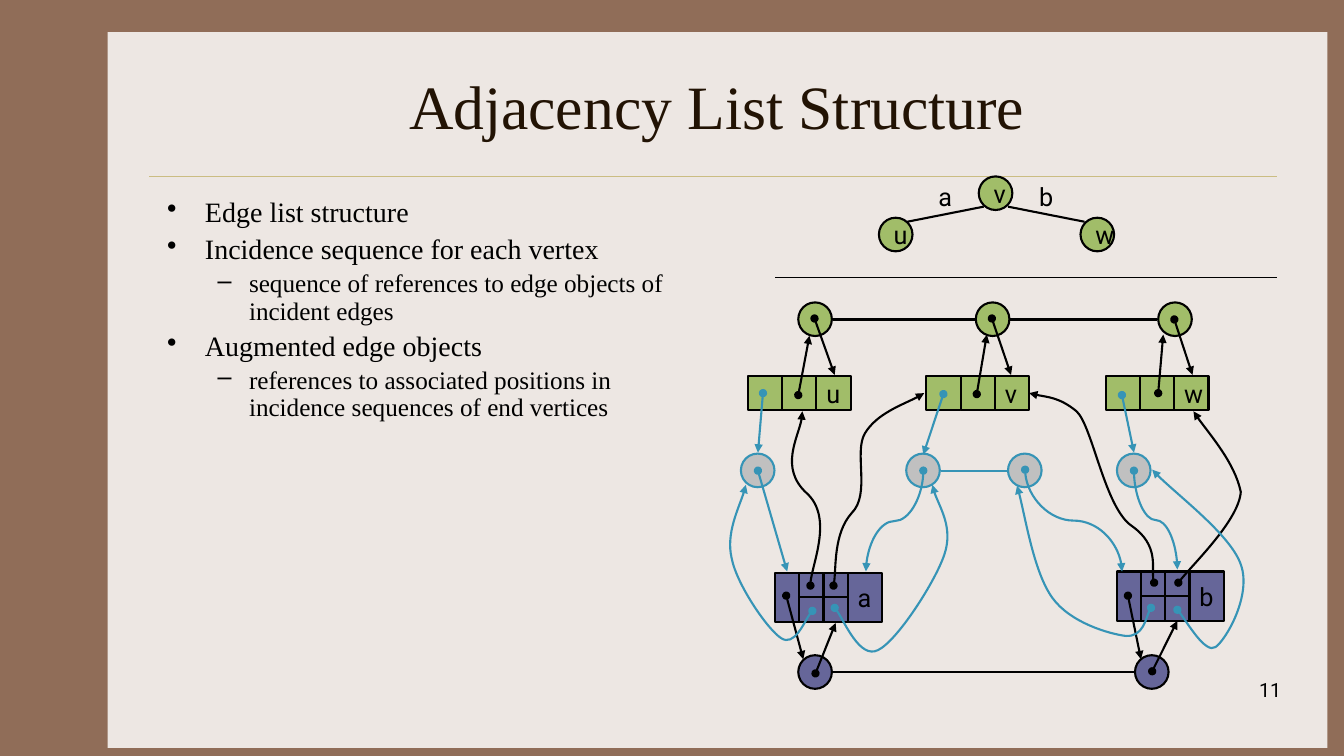
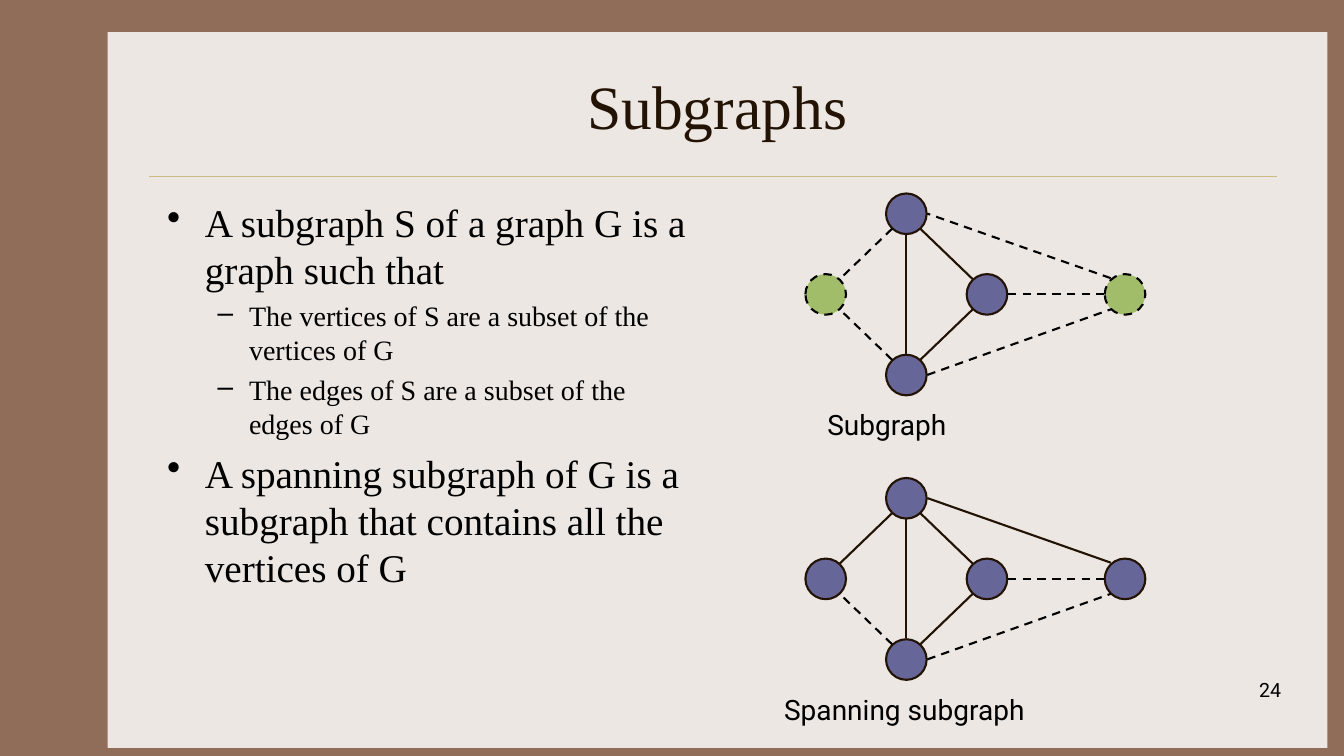
from dataclasses import dataclass
from typing import Optional

from pptx import Presentation
from pptx.dml.color import RGBColor
from pptx.enum.dml import MSO_LINE
from pptx.enum.shapes import MSO_CONNECTOR as CONN, MSO_SHAPE as SHAPE
from pptx.enum.text import MSO_ANCHOR as ANCHOR, MSO_AUTO_SIZE as AUTOSIZE, PP_ALIGN as ALIGN
from pptx.oxml.ns import qn
from pptx.oxml.xmlchemy import OxmlElement
from pptx.util import Pt

BROWN, PAPER, GOLD, DARK = "906D58", "EDE7E3", "CBBD83", "221304"
BLACK, GREEN, PURPLE, GREY, BLUE = "000000", "A1BD69", "666699", "C0C0C0", "3694B6"
SERIF, SANS = "Times New Roman", "Roboto"
NODE, CELL = 24, 24.5
SLOT, EDGE_H = 17.3, 35.3

Point = tuple[float, float]


@dataclass(frozen=True)
class Bullet:
    text: str
    size: float
    level: int = 0


@dataclass(frozen=True)
class Link:
    start: Point
    end: Point
    color: str = BLACK
    arrow: bool = False
    curved: bool = False


@dataclass(frozen=True)
class Curve:
    color: str
    points: list[Point]


@dataclass(frozen=True)
class Vertex:
    name: str
    graph: Point
    node_x: float
    record_x: float


@dataclass(frozen=True)
class EdgeRecord:
    name: str
    left: float
    top: float
    node_x: float


@dataclass(frozen=True)
class Subgraph:
    caption: str
    caption_box: tuple[float, float, float, float]
    dy: float
    outer: str
    dashed: set[str]


def rgb(color: str) -> RGBColor:
    return RGBColor.from_string(color)


def write(p, text: str, size: float, color: str = BLACK, font: str = SANS) -> None:
    r = p.add_run()
    r.text = text
    r.font.size, r.font.name = Pt(size), font
    r.font.color.rgb = rgb(color)


def stroke(line, color: str, width: float = 1.5, dashed: bool = False) -> None:
    line.color.rgb = rgb(color)
    line.width = Pt(width)
    if dashed:
        line.dash_style = MSO_LINE.DASH


def add_ends(line) -> None:
    ln = line._get_or_add_ln()
    for tag, kind in (("a:headEnd", "oval"), ("a:tailEnd", "triangle")):
        end = OxmlElement(tag)
        end.set("type", kind)
        ln.append(end)


def add_box(s, kind, x: float, y: float, w: float, h: float, fill: str,
            color: Optional[str] = BLACK, text: str = "", dashed: bool = False):
    sp = s.shapes.add_shape(kind, Pt(x), Pt(y), Pt(w), Pt(h))
    sp.shadow.inherit = False
    sp.fill.solid()
    sp.fill.fore_color.rgb = rgb(fill)
    if color:
        stroke(sp.line, color, dashed=dashed)
    else:
        sp.line.fill.background()
    if text:
        tf = sp.text_frame
        tf.word_wrap, tf.vertical_anchor = False, ANCHOR.MIDDLE
        tf.paragraphs[0].alignment = ALIGN.LEFT
        write(tf.paragraphs[0], text, 18)
    return sp


def add_text(s, text: str, x: float, y: float, w: float, h: float, size: float,
             wrap: bool = True, align=ALIGN.LEFT) -> None:
    tf = s.shapes.add_textbox(Pt(x), Pt(y), Pt(w), Pt(h)).text_frame
    tf.word_wrap = wrap
    tf.paragraphs[0].alignment = align
    write(tf.paragraphs[0], text, size)


def add_line(s, start: Point, end: Point, color: str = BLACK, width: float = 1.5,
             dashed: bool = False, kind=CONN.STRAIGHT):
    sp = s.shapes.add_connector(kind, *map(Pt, start + end))
    sp._element.spPr.append(OxmlElement("a:effectLst"))
    stroke(sp.line, color, width, dashed)
    return sp


def add_link(s, link: Link) -> None:
    if link.curved:
        (x0, y0), (x1, y1) = link.start, link.end
        cx, cy = (x0 + x1) / 2, (y0 + y1) / 2
        half_w = (y1 - y0) / 2 * (1 if x1 < x0 else -1)
        half_h = abs(x1 - x0) / 2
        sp = add_line(s, (cx - half_w, cy - half_h), (cx + half_w, cy + half_h),
                      link.color, kind=CONN.CURVE)
        sp._element.spPr.find(qn("a:xfrm")).set("rot", "5400000" if x1 < x0 else "16200000")
    else:
        sp = add_line(s, link.start, link.end, link.color)
    if link.arrow:
        add_ends(sp.line)


def add_curve(s, curve: Curve) -> None:
    pts = [(Pt(x), Pt(y)) for x, y in curve.points]
    builder = s.shapes.build_freeform(*pts[0])
    builder.add_line_segments(pts[1:], close=False)
    sp = builder.convert_to_shape()
    sp.shadow.inherit = False
    sp.fill.background()
    outline = next(sp._element.iter(qn("a:path")))
    segments = outline.findall(qn("a:lnTo"))
    for i in range(0, len(segments), 3):
        bezier = OxmlElement("a:cubicBezTo")
        for seg in segments[i:i + 3]:
            bezier.append(seg[0])
            outline.remove(seg)
        outline.append(bezier)
    stroke(sp.line, curve.color)
    add_ends(sp.line)


def decorate_master(prs, s) -> None:
    master = prs.slide_master
    master.background.fill.solid()
    master.background.fill.fore_color.rgb = rgb(BROWN)
    panel = add_box(s, SHAPE.RECTANGLE, 77, 23, 871.2, 511.2, PAPER, None)
    rule = add_line(s, (106.6, 126), (912.2, 126), GOLD, 0.25)
    for i, sp in enumerate((panel, rule)):
        sp.element.xpath(".//p:cNvPr")[0].set("id", str(100 + i))
        master.shapes.element.insert(2 + i, sp.element)


def new_slide(prs, title: str, number: str, bullets: list[Bullet], spacing: float = 1.0):
    s = prs.slides.add_slide(prs.slide_layouts[5])
    sp = s.shapes.title
    sp.left, sp.top, sp.width, sp.height = Pt(112.3), Pt(30.2), Pt(800), Pt(90)
    tf = sp.text_frame
    tf.auto_size, tf.word_wrap, tf.vertical_anchor = AUTOSIZE.NONE, True, ANCHOR.MIDDLE
    tf.paragraphs[0].alignment = ALIGN.CENTER
    write(tf.paragraphs[0], title, 44, DARK, SERIF)

    tf = s.shapes.add_textbox(Pt(112.3), Pt(138.2), Pt(391.7), Pt(324)).text_frame
    tf.word_wrap = True
    for i, bullet in enumerate(bullets):
        p = tf.add_paragraph() if i else tf.paragraphs[0]
        p.level = bullet.level
        p.line_spacing, p.space_before = spacing, Pt(round(bullet.size * 0.23, 1))
        margin, indent, mark = ((27, -27, "•"), (58.5, -22.5, "–"))[bullet.level]
        pPr = p._p.get_or_add_pPr()
        pPr.set("marL", str(Pt(margin)))
        pPr.set("indent", str(Pt(indent)))
        bu = OxmlElement("a:buChar")
        bu.set("char", mark)
        pPr.append(bu)
        write(p, bullet.text, bullet.size, BLACK, SERIF)
    add_text(s, number, 722.2, 481, 200, 36, 14, align=ALIGN.RIGHT)
    return s


ADJACENCY_BULLETS = [
    Bullet("Edge list structure", 20),
    Bullet("Incidence sequence for each vertex", 20),
    Bullet("sequence of references to edge objects of incident edges", 18, 1),
    Bullet("Augmented edge objects", 20),
    Bullet("references to associated positions in incidence sequences of end vertices", 18, 1),
]
SUBGRAPH_BULLETS = [
    Bullet("A subgraph S of a graph G is a graph such that", 28),
    Bullet("The vertices of S are a subset of the vertices of G", 20, 1),
    Bullet("The edges of S are a subset of the edges of G", 20, 1),
    Bullet("A spanning subgraph of G is a subgraph that contains all the vertices of G", 28),
]
VERTICES = [
    Vertex("u", (627.8, 155.5), 570.2, 534.2),
    Vertex("v", (699.1, 126), 697, 661.7),
    Vertex("w", (771.8, 155.5), 827.3, 789.8),
]
EDGE_RECORDS = [EdgeRecord("a", 553.7, 409, 570.2), EdgeRecord("b", 797.8, 408.2, 810.7)]
INCIDENCE_X = [529.2, 647.3, 720, 797.8]
PLAIN_LINKS = [
    Link((810, 480.2), (594.7, 480.2)),
    Link((826.6, 228.2), (594.7, 228.2)),
    Link((720, 147.6), (774.7, 158.4)),
    Link((702.7, 147.6), (648, 158.4)),
    Link((719.3, 336.2), (672.5, 336.2), BLUE),
]
ARROWS = [Link(a, b, color, True, curved) for color, curved, pairs in (
    (BLACK, False, [
        ((582.5, 481), (596.9, 445)), ((823, 479.5), (841, 443.5)),
        ((581.8, 227.5), (596.2, 267.8)), ((708.5, 227.5), (722.2, 267.8)),
        ((838.8, 228.2), (851.8, 267.8)), ((570.2, 282.2), (578.2, 239.8)),
        ((697.7, 281.5), (704.9, 239)), ((827.3, 280.8), (830.9, 239)),
        ((561.6, 425.5), (573.8, 470.9)), ((805.7, 425.5), (815, 470.9))]),
    (BLUE, False, [
        ((545, 280.8), (541.4, 323.3)), ((673.9, 281.5), (659.5, 324.7)),
        ((801.4, 282.2), (810, 323.3)), ((541.4, 336.2), (562.3, 408.2))]),
    (BLUE, True, [
        ((659.5, 336.2), (618.5, 408.2)), ((732.2, 335.5), (801.4, 408.2)),
        ((810, 336.2), (841, 406.8))]),
) for a, b in pairs]
CURVES = [
    Curve(BLACK, [(595.4, 418.3), (597.6, 409.7), (595.4, 380.9), (608.4, 366.5), (622.1, 352.8),
                  (609.8, 323.3), (617.8, 309.6), (626.4, 295.2), (651.6, 286.6), (660.2, 280.8)]),
    Curve(BLACK, [(578.9, 418.3), (578.2, 406.8), (595.4, 369.4), (576, 352.1), (556.6, 334.1),
                  (573.8, 306), (573.1, 293.8)]),
    Curve(BLUE, [(596.2, 434.2), (601.2, 439.2), (614.2, 470.9), (627.1, 464.4), (640.8, 457.9),
                 (668.2, 415.4), (674.6, 396), (681.1, 376.6), (667.4, 356.4), (666, 346.3)]),
    Curve(BLUE, [(580.3, 436.3), (576.7, 439.2), (567.4, 462.2), (558, 455.8), (548.6, 450),
                 (526.3, 417.6), (522.7, 398.9), (518.4, 380.9), (530.6, 357.1), (532.8, 346.3)]),
    Curve(BLACK, [(824.4, 416.2), (821.5, 409.7), (828, 389.5), (808.6, 375.8), (789.1, 362.9),
                  (780.5, 304.6), (769, 293.8), (756.7, 283.7), (742.3, 283), (735.1, 280.8)]),
    Curve(BLACK, [(841.7, 416.2), (849.6, 405.4), (884.9, 371.5), (886.3, 351.4), (882, 330.5),
                  (859.7, 305.3), (852.5, 293.8)]),
    Curve(BLUE, [(822.2, 434.2), (819.4, 437.8), (816.5, 455), (804.2, 454.3), (792.7, 452.9),
                 (764.6, 445), (751.7, 427), (738.7, 409), (731.5, 363.6), (726.5, 347)]),
    Curve(BLUE, [(841, 435.6), (845.3, 439.9), (861.1, 467.3), (868.3, 462.2), (876.2, 456.5),
                 (894.2, 424.8), (886.3, 403.2), (879.1, 382.3), (835.9, 349.9), (823, 335.5)]),
]
INNER_NODES = [(632.9, 138.2), (690.5, 195.8), (632.9, 253.4)]
OUTER_NODES = [(575.3, 195.8), (789.1, 195.8)]
GRAPH_EDGES: dict[str, tuple[Point, Point]] = {
    "left-top": ((637.2, 163.4), (599.8, 199.4)),
    "left-bottom": ((637.2, 257), (599.8, 221)),
    "middle-bottom": ((657.4, 257), (694.8, 221)),
    "middle-top": ((657.4, 163.4), (694.8, 199.4)),
    "top-bottom": ((647.3, 167), (647.3, 252.7)),
    "middle-right": ((720, 210.2), (788.4, 210.2)),
    "bottom-right": ((662.4, 267.8), (793.4, 221)),
    "top-right": ((793.4, 198.7), (662.4, 152.6)),
}
SHARED_DASHED = {"left-bottom", "middle-right", "bottom-right"}
SUBGRAPHS = [
    Subgraph("Subgraph", (583.9, 287.3, 224.6, 31), 0, GREEN,
             SHARED_DASHED | {"left-top", "top-right"}),
    Subgraph("Spanning subgraph", (553, 491, 287.3, 31), 203.2, PURPLE, SHARED_DASHED),
]


def draw_adjacency(s) -> None:
    for link in PLAIN_LINKS:
        add_link(s, link)
    add_line(s, (553.7, 198), (912.2, 198), width=0.75)
    for name, x in (("a", 663.1), ("b", 735.1)):
        add_text(s, name, x, 126, 24, 28.8, 18, wrap=False)
    for v in VERTICES:
        add_box(s, SHAPE.OVAL, *v.graph, NODE, NODE, GREEN, text=v.name)
        add_box(s, SHAPE.OVAL, v.node_x, 216, NODE, NODE, GREEN)
        for i, text in enumerate(("", "", v.name)):
            add_box(s, SHAPE.RECTANGLE, v.record_x + i * CELL, 268.6, CELL, CELL, GREEN, text=text)
    for e in EDGE_RECORDS:
        add_box(s, SHAPE.OVAL, e.node_x, 468, NODE, NODE, PURPLE)
        for i, text in enumerate(("", "", "", e.name)):
            add_box(s, SHAPE.RECTANGLE, e.left + i * SLOT, e.top, CELL if text else SLOT, EDGE_H,
                    PURPLE, text=text)
        mid = e.top + EDGE_H / 2
        add_line(s, (e.left + SLOT, mid), (e.left + 3 * SLOT, mid))
    for x in INCIDENCE_X:
        add_box(s, SHAPE.OVAL, x, 324, NODE, NODE, GREY, BLUE)
    for link in ARROWS:
        add_link(s, link)
    for curve in CURVES:
        add_curve(s, curve)


def draw_subgraph(s, g: Subgraph) -> None:
    add_text(s, g.caption, *g.caption_box, 20)
    dashed = g.outer == GREEN
    for x, y in INNER_NODES:
        add_box(s, SHAPE.OVAL, x, y + g.dy, 29, 29, PURPLE, DARK)
    for x, y in OUTER_NODES:
        add_box(s, SHAPE.OVAL, x, y + g.dy, 29, 29, g.outer, BLACK if dashed else DARK,
                dashed=dashed)
    for name, ((x0, y0), (x1, y1)) in GRAPH_EDGES.items():
        broken = name in g.dashed
        add_line(s, (x0, y0 + g.dy), (x1, y1 + g.dy), BLACK if broken else DARK, dashed=broken)


def main() -> None:
    prs = Presentation()
    prs.slide_width, prs.slide_height = Pt(960), Pt(540)
    s = new_slide(prs, "Adjacency List Structure", "11", ADJACENCY_BULLETS, 0.9)
    decorate_master(prs, s)
    draw_adjacency(s)
    s = new_slide(prs, "Subgraphs", "24", SUBGRAPH_BULLETS)
    for g in SUBGRAPHS:
        draw_subgraph(s, g)
    prs.save("out.pptx")


if __name__ == "__main__":
    main()
